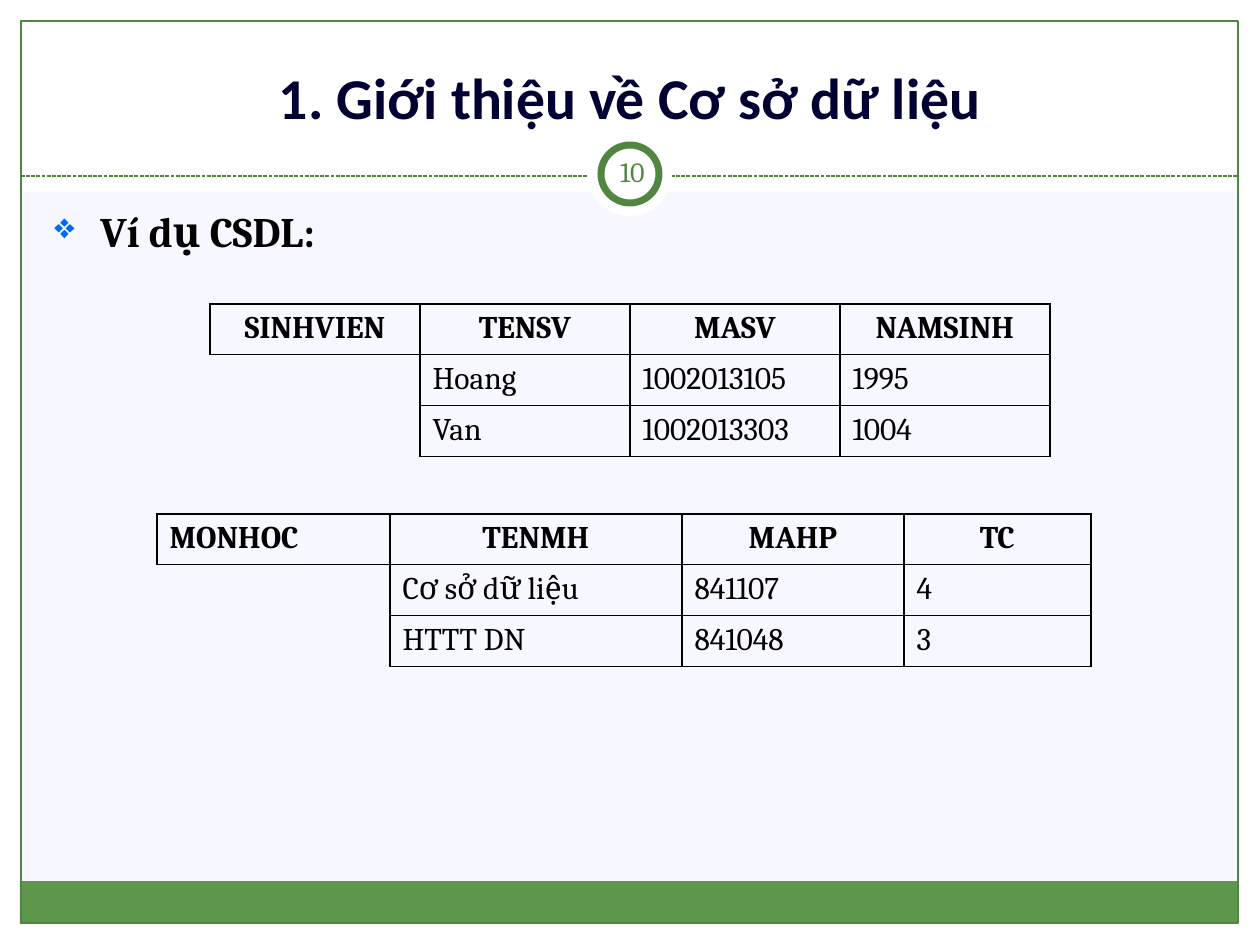
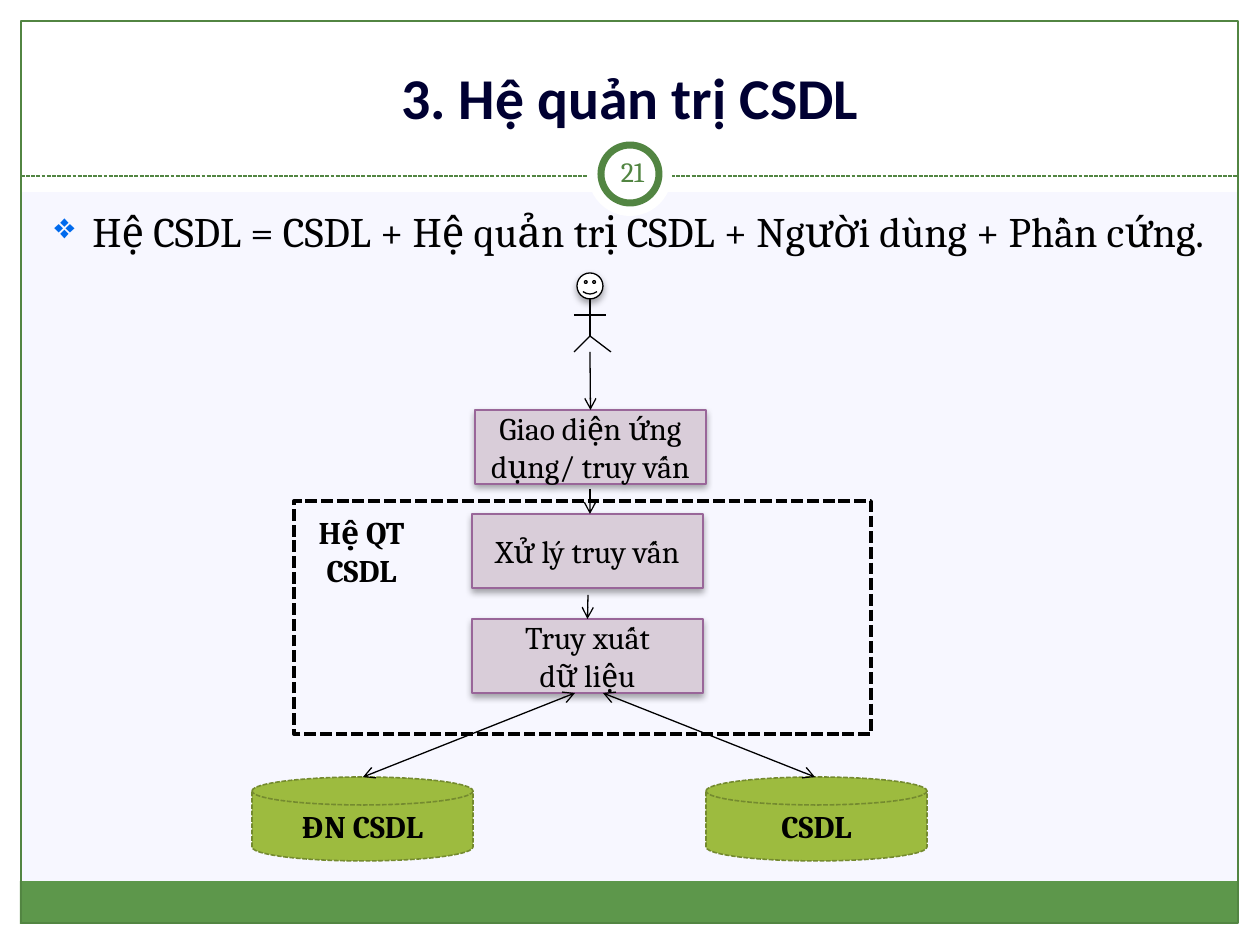
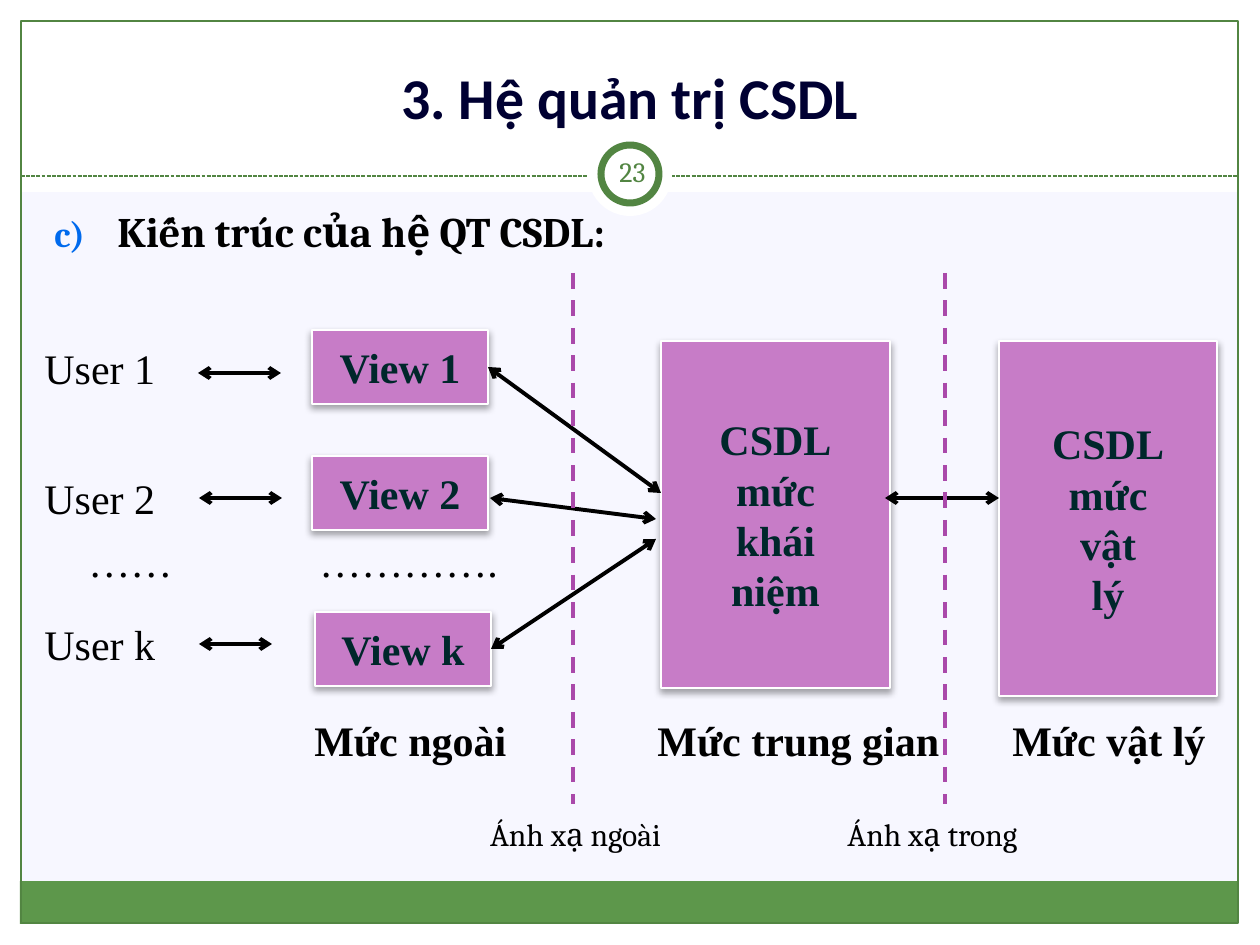
from dataclasses import dataclass
from itertools import accumulate

from lxml.etree import SubElement as Sub
from pptx import Presentation
from pptx.dml.color import RGBColor as Rgb
from pptx.enum.dml import MSO_LINE as Dash
from pptx.enum.shapes import MSO_CONNECTOR as Conn, MSO_SHAPE as Kind
from pptx.enum.text import MSO_ANCHOR as Anchor, PP_ALIGN as Align
from pptx.oxml.ns import qn
from pptx.util import Emu, Pt


@dataclass(frozen=True)
class Theme:
    """Colours, fonts and type sizes."""
    back: str = "F7F7FF"
    white: str = "FFFFFF"
    black: str = "000000"
    green: str = "528542"
    band: str = "5D974B"
    title: str = "000032"
    mark: str = "006AED"
    step: str = "D9CDD9"
    edge: str = "996699"
    disk: str = "9DBB3F"
    rim: str = "748A2F"
    view: str = "C77CC7"
    ink: str = "00272B"
    split: str = "AA49AA"
    head: str = "Calibri"
    main: str = "Cambria"
    roman: str = "Times New Roman"
    big: int = 33
    mid: int = 24
    small: int = 18
    page: int = 16


T = Theme()
SCALE = 914400 / 126


def px(num):
    """Turn px into EMU."""
    return Emu(round(num * SCALE))


def node(top, tag, **attrs):
    """Add one drawing element below another."""
    return Sub(top, qn("a:" + tag), {k: str(v) for k, v in attrs.items()})


def write(frame, text, size, font=T.main, ink=T.black, bold=False, align=Align.LEFT):
    """Fill a text frame and format its runs."""
    frame.text = text
    for para in frame.paragraphs:
        para.alignment = align
        for run in para.runs:
            face = run.font
            face.size, face.name, face.bold = Pt(size), font, bold
            face.color.rgb = Rgb.from_string(ink)


def stroke(line, ink, width, dash=None):
    """Set the colour, width and dash of a line."""
    line.color.rgb = Rgb.from_string(ink)
    line.width = Pt(width)
    if dash:
        line.dash_style = dash


class Pad:
    """A drawing area whose parts are placed from its corner."""

    def __init__(self, slide, x=0, y=0):
        """Keep the slide's shapes and the corner."""
        self.shapes, self.x, self.y = slide.shapes, x, y

    def spot(self, x, y):
        """Give a point of the area on the slide."""
        return px(self.x + x), px(self.y + y)

    def shape(self, kind, box, fill=None, line=None, shade=False):
        """Draw a preset shape; line is colour, width and dash."""
        x, y, w, h = box
        item = self.shapes.add_shape(kind, *self.spot(x, y), px(w), px(h))
        item.shadow.inherit = False
        if fill:
            item.fill.solid()
            item.fill.fore_color.rgb = Rgb.from_string(fill)
        else:
            item.fill.background()
        if line:
            stroke(item.line, *line)
        else:
            item.line.fill.background()
        if shade:
            glow = node(item.element.spPr.find(qn("a:effectLst")), "outerShdw",
                        blurRad=Pt(4), dist=Pt(2), dir=5400000, rotWithShape=0)
            node(node(glow, "srgbClr", val=T.black), "alpha", val=35000)
        return item

    def block(self, kind, box, text, fill, line, wrap=True, shade=False, **style):
        """Draw a shape with centred text."""
        item = self.shape(kind, box, fill, line, shade)
        frame = item.text_frame
        frame.word_wrap, frame.vertical_anchor = wrap, Anchor.MIDDLE
        write(frame, text, align=Align.CENTER, **style)
        return item

    def text(self, box, text, size, wrap=True, **style):
        """Place a text box."""
        x, y, w, h = box
        frame = self.shapes.add_textbox(*self.spot(x, y), px(w), px(h)).text_frame
        frame.word_wrap = wrap
        write(frame, text, size, **style)
        return frame

    def line(self, start, end, ink=T.black, width=0.75, dash=None, heads=()):
        """Draw a straight line with the named arrowheads."""
        item = self.shapes.add_connector(Conn.STRAIGHT, *self.spot(*start), *self.spot(*end))
        stroke(item.line, ink, width, dash)
        for head in heads:
            node(item.get_or_add_ln(), head, type="arrow")
        node(item.element.spPr, "effectLst")
        return item


ONE = ("tailEnd",)
BOTH = ("headEnd", "tailEnd")


def trim(slide):
    """Draw the shared bands, border and badge and move them to the layout."""
    pad = Pad(slide)
    bands = [((0, 924, 1260, 21), T.white), ((0, 0, 1260, 192), T.white),
             ((0, 0, 21, 945), T.white), ((1239, 0, 21, 945), T.white),
             ((20, 881, 1218, 43), T.band)]
    items = [pad.shape(Kind.RECTANGLE, box, fill) for box, fill in bands]
    items += [
        pad.shape(Kind.RECTANGLE, (21, 21, 1217, 902), None, (T.green, 0.75)),
        pad.line((21, 176), (1239, 176), T.green, dash=Dash.SQUARE_DOT),
        pad.shape(Kind.OVAL, (588, 132, 84, 84), T.white),
        pad.shape(Kind.OVAL, (601, 145, 58, 58), T.white, (T.green, 4)),
    ]
    layout = slide.slide_layout
    layout.background.fill.solid()
    layout.background.fill.fore_color.rgb = Rgb.from_string(T.back)
    for item in items:
        layout.shapes.element.append(item.element)


def page(deck, title, num):
    """Add a slide with its title and number."""
    slide = deck.slides.add_slide(deck.slide_layouts[5])
    head = slide.shapes.title
    head.left, head.top, head.width, head.height = map(px, (42, 32, 1176, 105))
    head.text_frame.vertical_anchor = Anchor.BOTTOM
    write(head.text_frame, title, T.big, T.head, T.title, True, Align.CENTER)
    frame = Pad(slide).text((601, 141, 63, 60), str(num), T.page, ink=T.green,
                            align=Align.CENTER)
    frame.vertical_anchor = Anchor.MIDDLE
    frame.margin_left = frame.margin_right = px(6)
    frame.margin_top = frame.margin_bottom = px(6)
    return slide


def point(slide, text, gap, bold=True, align=Align.LEFT, start=None):
    """Write the bulleted or lettered line at the top of the body."""
    frame = Pad(slide).text((42, 199, 1187, 683), text, T.mid, bold=bold, align=align)
    props = frame.paragraphs[0]._p.get_or_add_pPr()
    props.set("marL", str(px(gap)))
    props.set("indent", str(-px(gap)))
    node(node(props, "buClr"), "srgbClr", val=T.mark)
    node(props, "buSzPct", val=85000)
    if start:
        node(props, "buAutoNum", type="alphaLcParenR", startAt=start)
    else:
        node(props, "buChar", char="❖")


def border(cell, sides):
    """Rule the given sides of a cell and clear the others."""
    props = cell._tc.get_or_add_tcPr()
    for side in "LRTB":
        edge = node(props, "ln" + side, w=Pt(1))
        if side in sides:
            node(node(edge, "solidFill"), "srgbClr", val=T.black)
        else:
            node(edge, "noFill")
    cell.fill.background()


def grid(slide, x, y, cols, rows, left=()):
    """Place a table whose first column holds only its name."""
    highs = (49, 51, 51)
    table = slide.shapes.add_table(len(rows), len(cols), px(x), px(y),
                                   px(sum(cols)), px(sum(highs))).table
    table.first_row = table.horz_banding = False
    for col, wide in zip(table.columns, cols):
        col.width = px(wide)
    for i, (row, high) in enumerate(zip(rows, highs)):
        table.rows[i].height = px(high)
        for j, text in enumerate(row):
            cell = table.cell(i, j)
            border(cell, "LRTB" if text else "RT" if i == 1 else "R")
            if text:
                align = Align.LEFT if i or j in left else Align.CENTER
                write(cell.text_frame, text, T.small, bold=i == 0, align=align)


def person(slide, x, y):
    """Draw a stick figure."""
    pad = Pad(slide, x, y)
    pad.shape(Kind.SMILEY_FACE, (3, 0, 26, 26), T.white, (T.black, 0.75), True)
    for start, end in [((16, 26), (16, 63)), ((0, 42), (32, 42)),
                       ((16, 63), (0, 79)), ((16, 63), (37, 79))]:
        pad.line(start, end)


def flow(slide, x, y):
    """Draw the path from the user down to the stores."""
    person(slide, x + 322, y)
    pad = Pad(slide, x, y)
    steps = [(223, 137, "Giao diện ứng dụng/ truy vấn"), (220, 241, "Xử lý truy vấn"),
             (220, 346, "Truy xuất\ndữ liệu")]
    front, _, fetch = [
        pad.block(Kind.RECTANGLE, (left, top, 231, 74), text, T.step, (T.edge, 0.75),
                  shade=True, size=T.small) for left, top, text in steps]
    for left, text in ((0, "ĐN CSDL"), (454, "CSDL")):
        pad.block(Kind.FLOWCHART_MAGNETIC_DISK, (left, 504, 221, 84), text, T.disk,
                  (T.rim, 0.9, Dash.SQUARE_DOT), size=T.small, bold=True)
    pad.line((338, 79), (338, 137), heads=ONE).end_connect(front, 0)
    pad.line((338, 216), (338, 241), heads=ONE)
    pad.line((336, 322), (336, 346), heads=ONE).end_connect(fetch, 0)
    pad.line((111, 504), (323, 420), heads=BOTH)
    pad.line((351, 420), (563, 504), heads=BOTH)
    pad.shape(Kind.RECTANGLE, (42, 228, 577, 233), None, (T.black, 2.25, Dash.SQUARE_DOT))
    pad.text((49, 234, 121, 89), "Hệ QT\nCSDL", T.small, False, bold=True,
             align=Align.CENTER)


def levels(slide, x, y):
    """Draw users, views and the two inner levels."""
    pad = Pad(slide, x, y)

    def panel(box, text):
        """Draw one purple panel."""
        return pad.block(Kind.RECTANGLE, box, text, T.view, (T.white, 1.57), wrap=False,
                         shade=True, size=T.mid, font=T.roman, ink=T.ink, bold=True)

    def arrow(start, end):
        """Draw one thick arrow with two heads."""
        return pad.line(start, end, width=2.25, heads=BOTH)

    panel((629, 68, 229, 347), "CSDL\nmức\nkhái\nniệm")
    panel((967, 68, 218, 355), "CSDL\nmức\nvật\nlý")
    views = [panel((left, top, 176, 74), "View " + name)
             for left, top, name in ((280, 57, "1"), (280, 183, "2"), (283, 339, "k"))]
    arrow((458, 95), (629, 220)).begin_connect(views[0], 3)
    arrow((458, 225), (624, 246))
    arrow((458, 376), (624, 266)).begin_connect(views[2], 3)
    arrow((853, 225), (967, 225))
    for left, right, top in ((166, 249, 100), (167, 250, 225), (167, 240, 371)):
        arrow((left, top), (right, top))
    for top, name in ((63, "1"), (193, "2"), (339, "k")):
        pad.text((0, top, 166, 63), "User " + name, T.mid, font=T.roman)
    for left, text in ((44, "……"), (275, "………….")):
        pad.text((left, 256, 220, 63), text, T.mid, font=T.roman)
    for left, wide, text in ((270, 229, "Mức ngoài"), (613, 310, "Mức trung gian"),
                             (968, 229, "Mức vật lý")):
        pad.text((left, 435, wide, 63), text, T.mid, font=T.roman, bold=True)
    for left, text in ((541, "Ánh xạ ngoài"), (913, "Ánh xạ trong")):
        pad.line((left, 0), (left, 531), T.split, 2.25, Dash.DASH)
    for left, text in ((444, "Ánh xạ ngoài"), (801, "Ánh xạ trong")):
        pad.text((left, 536, 199, 50), text, T.small, False, align=Align.CENTER)


def main():
    """Build the three slides and save them."""
    deck = Presentation()
    deck.slide_width, deck.slide_height = px(1260), px(945)

    slide = page(deck, "1. Giới thiệu về Cơ sở dữ liệu", 10)
    trim(slide)
    point(slide, "Ví dụ CSDL:", 46)
    grid(slide, 210, 304, [210] * 4, [
        ("SINHVIEN", "TENSV", "MASV", "NAMSINH"),
        ("", "Hoang", "1002013105", "1995"),
        ("", "Van", "1002013303", "1004")])
    grid(slide, 157, 514, [233, 292, 222, 187], [
        ("MONHOC", "TENMH", "MAHP", "TC"),
        ("", "Cơ sở dữ liệu", "841107", "4"),
        ("", "HTTT DN", "841048", "3")], left=(0,))

    slide = page(deck, "3. Hệ quản trị CSDL", 21)
    point(slide, "Hệ CSDL = CSDL + Hệ quản trị CSDL + Người dùng + Phần cứng.", 38,
          bold=False, align=Align.JUSTIFY)
    flow(slide, 252, 273)

    slide = page(deck, "3. Hệ quản trị CSDL", 23)
    point(slide, "Kiến trúc của hệ QT CSDL:", 63, start=3)
    levels(slide, 32, 273)

    deck.save("out.pptx")


if __name__ == "__main__":
    main()
